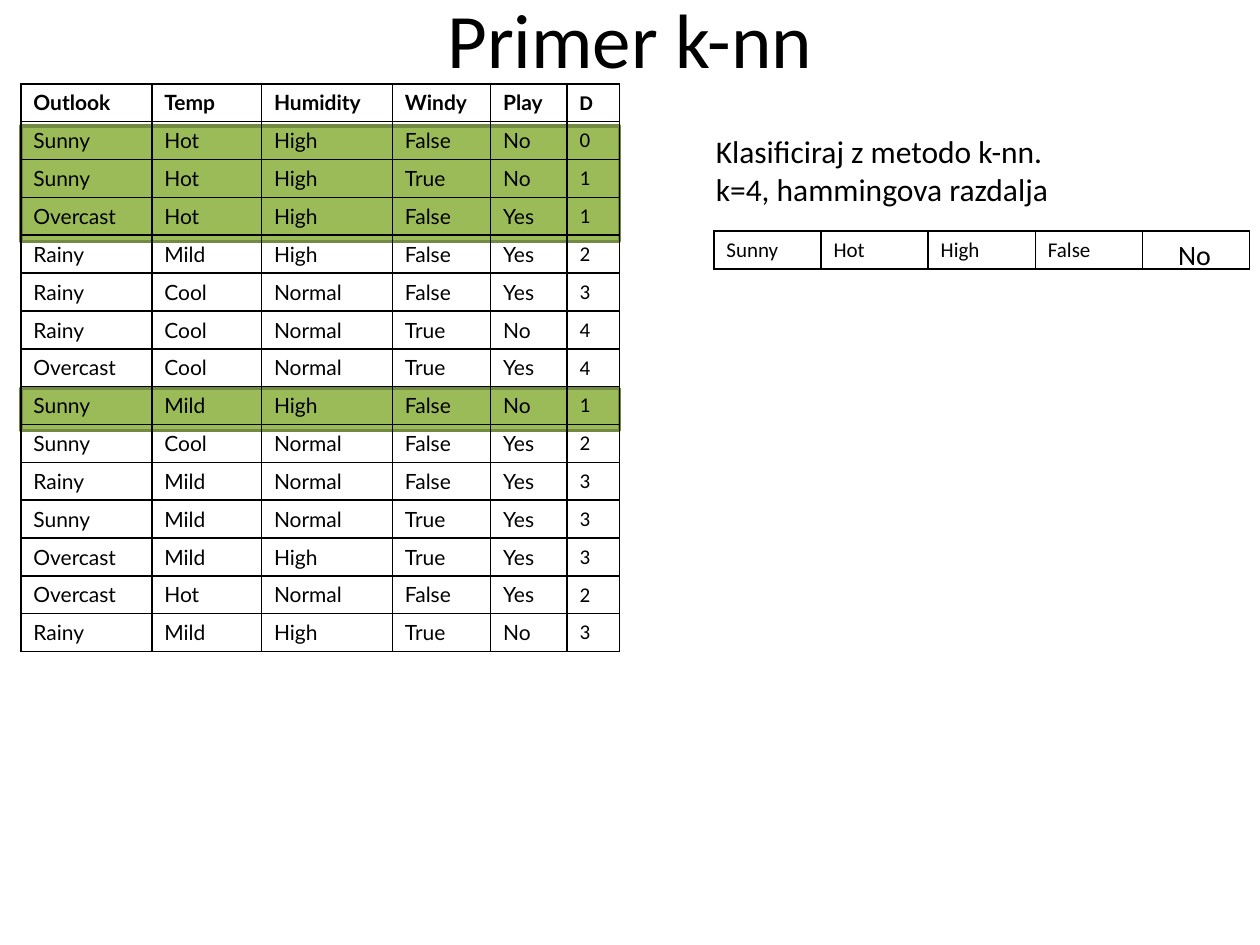
"""Build a slide with a k-nearest-neighbours example on weather data."""
from lxml import etree
from pptx import Presentation
from pptx.dml.color import RGBColor
from pptx.enum.shapes import MSO_SHAPE
from pptx.enum.text import MSO_ANCHOR, MSO_AUTO_SIZE, PP_ALIGN
from pptx.oxml.ns import qn
from pptx.util import Cm, Pt

BLACK = RGBColor(0x00, 0x00, 0x00)
GREEN = RGBColor(0x9B, 0xBB, 0x59)
DARK_GREEN = RGBColor(0x73, 0x8A, 0x42)

LEFT, TOP, ROW_HEIGHT = 0.42, 1.69, 0.76
WEATHER_WIDTHS = [2.64, 2.21, 2.64, 1.98, 1.54]
DISTANCE_WIDTH = 1.06

WEATHER = [line.split() for line in (
    "Outlook Temp Humidity Windy Play",
    "Sunny Hot High False No",
    "Sunny Hot High True No",
    "Overcast Hot High False Yes",
    "Rainy Mild High False Yes",
    "Rainy Cool Normal False Yes",
    "Rainy Cool Normal True No",
    "Overcast Cool Normal True Yes",
    "Sunny Mild High False No",
    "Sunny Cool Normal False Yes",
    "Rainy Mild Normal False Yes",
    "Sunny Mild Normal True Yes",
    "Overcast Mild High True Yes",
    "Overcast Hot Normal False Yes",
    "Rainy Mild High True No",
)]
DISTANCES = [[mark] for mark in "D01123441233323"]
QUERY = [["Sunny", "Hot", "High", "False", ""]]


def style_font(font, size, name="Calibri", bold=False):
    font.size = Pt(size)
    font.name = name
    font.bold = bold
    font.color.rgb = BLACK


def add_title(slide, text):
    title = slide.shapes.title
    title.left, title.top, title.width, title.height = Cm(1.27), Cm(-0.84), Cm(22.86), Cm(3.18)
    frame = title.text_frame
    frame.text = text
    frame.vertical_anchor = MSO_ANCHOR.MIDDLE
    frame.paragraphs[0].alignment = PP_ALIGN.CENTER
    style_font(frame.paragraphs[0].runs[0].font, 44)


def add_highlight(slide, top, height):
    width = sum(WEATHER_WIDTHS) + DISTANCE_WIDTH
    band = slide.shapes.add_shape(
        MSO_SHAPE.RECTANGLE, Cm(LEFT), Cm(top), Cm(width), Cm(height))
    band.shadow.inherit = False
    band.fill.solid()
    band.fill.fore_color.rgb = GREEN
    band.line.color.rgb = DARK_GREEN
    band.line.width = Pt(2)


def add_text(slide, left, top, width, height, lines, size):
    box = slide.shapes.add_textbox(Cm(left), Cm(top), Cm(width), Cm(height))
    frame = box.text_frame
    frame.word_wrap = False
    frame.auto_size = MSO_AUTO_SIZE.SHAPE_TO_FIT_TEXT
    frame.text = "\n".join(lines)
    for paragraph in frame.paragraphs:
        style_font(paragraph.runs[0].font, size)


def set_borders(cell):
    properties = cell._tc.get_or_add_tcPr()
    for index, side in enumerate(("lnL", "lnR", "lnT", "lnB")):
        line = etree.Element(qn(f"a:{side}"), w=str(Pt(1)))
        fill = etree.SubElement(line, qn("a:solidFill"))
        etree.SubElement(fill, qn("a:srgbClr"), val=str(BLACK))
        properties.insert(index, line)


def fill_cell(cell, text, font_name, bold):
    cell.fill.background()
    set_borders(cell)
    paragraph = cell.text_frame.paragraphs[0]
    if text:
        run = paragraph.add_run()
        run.text = text
        style_font(run.font, 12, font_name, bold)
    else:
        etree.SubElement(paragraph._p, qn("a:endParaRPr"), sz="1200")


def add_grid(slide, left, top, widths, rows, font_name="Calibri", header=True):
    frame = slide.shapes.add_table(
        len(rows), len(widths), Cm(left), Cm(top),
        Cm(sum(widths)), Cm(ROW_HEIGHT * len(rows)))
    table = frame.table
    table.first_row = header
    table.horz_banding = False
    for column, width in zip(table.columns, widths):
        column.width = Cm(width)
    for row_index, (row, values) in enumerate(zip(table.rows, rows)):
        row.height = Cm(ROW_HEIGHT)
        for cell, text in zip(row.cells, values):
            fill_cell(cell, text, font_name, header and row_index == 0)


def main():
    presentation = Presentation()
    presentation.slide_width, presentation.slide_height = Cm(25.4), Cm(19.05)
    slide = presentation.slides.add_slide(presentation.slide_layouts[5])
    add_title(slide, "Primer k-nn")
    add_highlight(slide, 7.83, 0.85)
    add_highlight(slide, 2.54, 2.33)
    add_grid(slide, LEFT, TOP, WEATHER_WIDTHS, WEATHER, "Lato")
    add_text(slide, 14.18, 2.54, 7.29, 1.8,
             ["Klasificiraj z metodo k-nn.", "k=4, hammingova razdalja"], 18)
    add_grid(slide, 14.39, 4.66, [2.16] * 5, QUERY, header=False)
    add_grid(slide, LEFT + sum(WEATHER_WIDTHS), TOP, [DISTANCE_WIDTH], DISTANCES)
    add_text(slide, 23.5, 4.66, 1.19, 0.94, ["No"], 16)
    presentation.save("out.pptx")


main()
